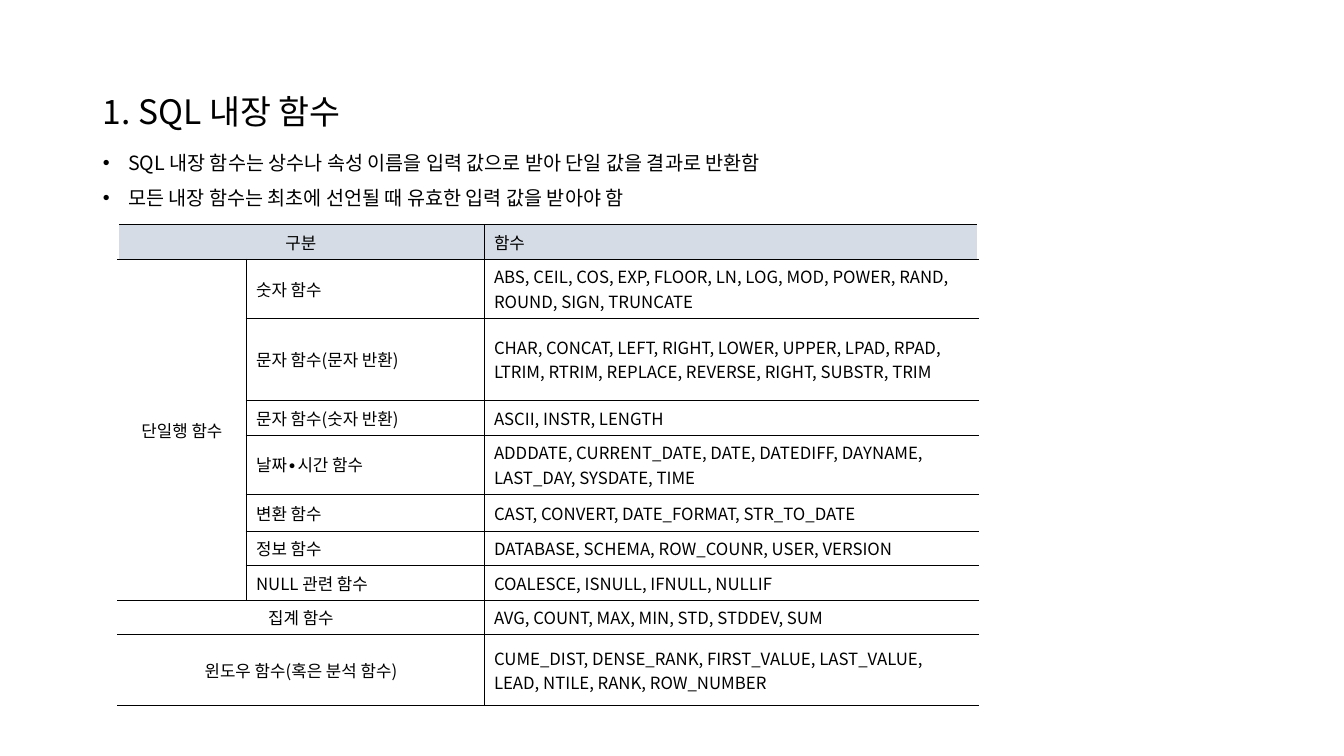
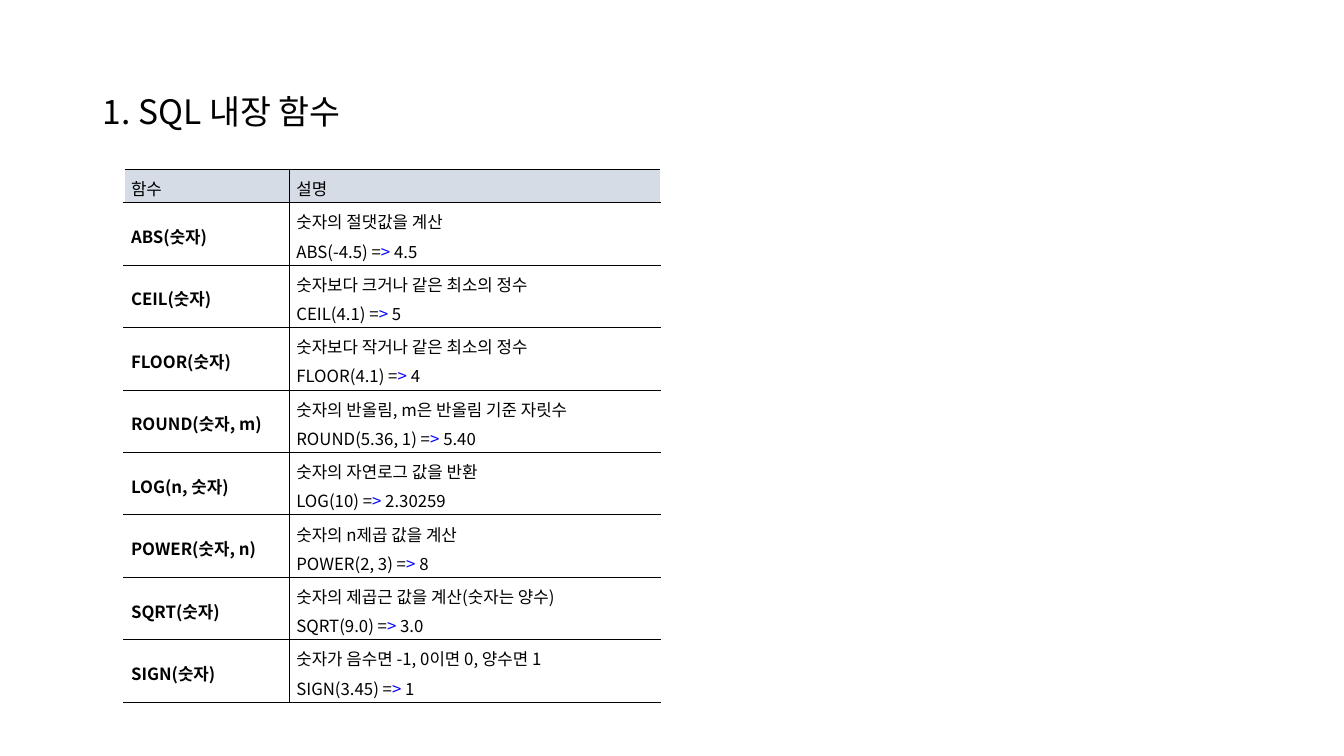
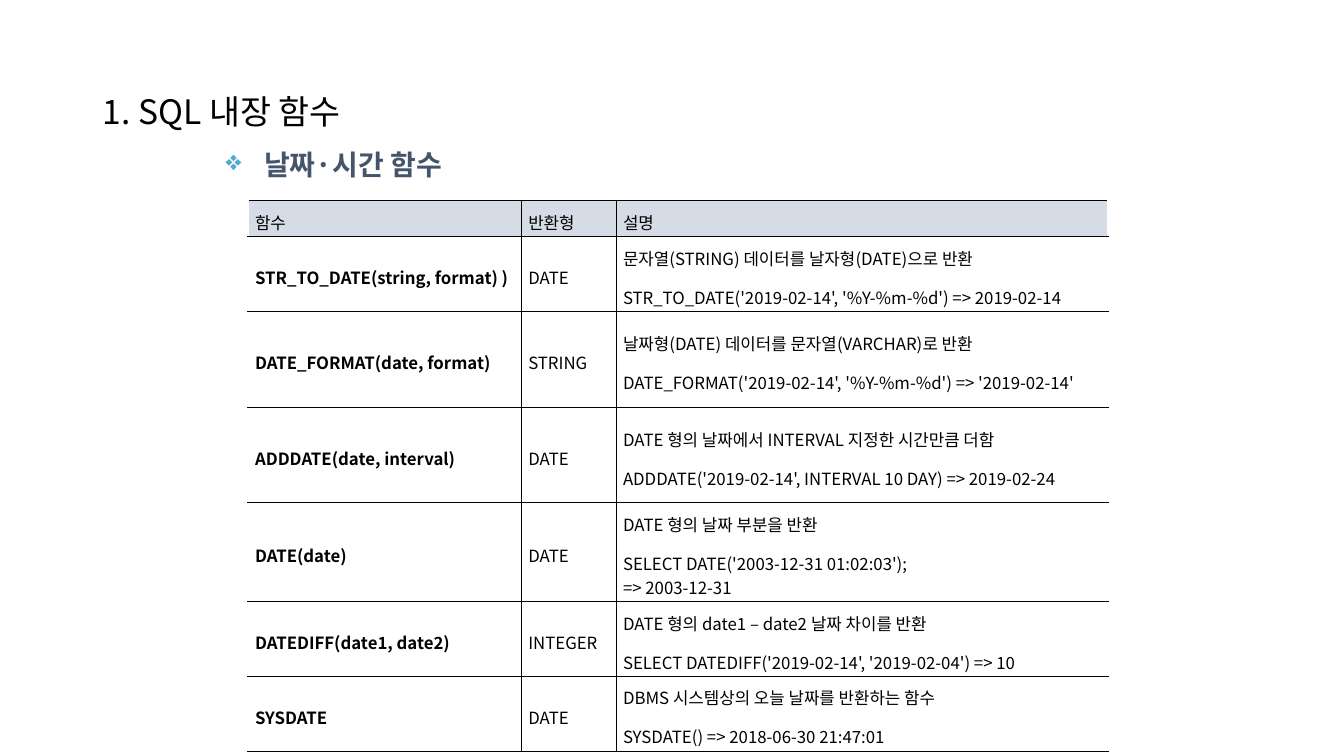
from lxml import etree
from pptx import Presentation
from pptx import util as u
from pptx.dml import color as dml
from pptx.enum import text as t
from pptx.oxml import ns

FONT = "Noto Sans CJK KR"
COLORS = {"text": "000000", "header": "D6DCE5", "arrow": "0000FF",
          "heading": "44546A", "bullet": "50ABCC"}
TITLE = "1. SQL 내장 함수"
LEFT, CENTER, JUSTIFY = t.PP_ALIGN.LEFT, t.PP_ALIGN.CENTER, t.PP_ALIGN.JUSTIFY

FUNCTION_GROUPS = [
    ("구분", "", "함수"),
    ("단일행 함수", "숫자 함수",
     "ABS, CEIL, COS, EXP, FLOOR, LN, LOG, MOD, POWER, RAND, ROUND, SIGN, TRUNCATE"),
    ("", "문자 함수(문자 반환)",
     "CHAR, CONCAT, LEFT, RIGHT, LOWER, UPPER, LPAD, RPAD, LTRIM, RTRIM, REPLACE, "
     "REVERSE, RIGHT, SUBSTR, TRIM"),
    ("", "문자 함수(숫자 반환)", "ASCII, INSTR, LENGTH"),
    ("", "날짜∙시간 함수",
     "ADDDATE, CURRENT_DATE, DATE, DATEDIFF, DAYNAME, LAST_DAY, SYSDATE, TIME"),
    ("", "변환 함수", "CAST, CONVERT, DATE_FORMAT, STR_TO_DATE"),
    ("", "정보 함수", "DATABASE, SCHEMA, ROW_COUNR, USER, VERSION"),
    ("", "NULL 관련 함수", "COALESCE, ISNULL, IFNULL, NULLIF"),
    ("집계 함수", "", "AVG, COUNT, MAX, MIN, STD, STDDEV, SUM"),
    ("윈도우 함수(혹은 분석 함수)", "",
     "CUME_DIST, DENSE_RANK, FIRST_VALUE, LAST_VALUE, LEAD, NTILE, RANK, ROW_NUMBER"),
]
NUMBER_FUNCTIONS = [
    ("ABS(숫자)", "숫자의 절댓값을 계산", "ABS(-4.5)", "4.5"),
    ("CEIL(숫자)", "숫자보다 크거나 같은 최소의 정수", "CEIL(4.1)", "5"),
    ("FLOOR(숫자)", "숫자보다 작거나 같은 최소의 정수", "FLOOR(4.1)", "4"),
    ("ROUND(숫자, m)", "숫자의 반올림, m은 반올림 기준 자릿수", "ROUND(5.36, 1)", "5.40"),
    ("LOG(n, 숫자)", "숫자의 자연로그 값을 반환", "LOG(10)", "2.30259"),
    ("POWER(숫자, n)", "숫자의 n제곱 값을 계산", "POWER(2, 3)", "8"),
    ("SQRT(숫자)", "숫자의 제곱근 값을 계산(숫자는 양수)", "SQRT(9.0)", "3.0"),
    ("SIGN(숫자)", "숫자가 음수면 -1, 0이면 0, 양수면 1", "SIGN(3.45)", "1"),
]
DATE_FUNCTIONS = [
    ("STR_TO_DATE(string, format) )", "DATE",
     ["문자열(STRING) 데이터를 날자형(DATE)으로 반환",
      "STR_TO_DATE('2019-02-14', '%Y-%m-%d') => 2019-02-14"]),
    ("DATE_FORMAT(date, format)", "STRING",
     ["날짜형(DATE) 데이터를 문자열(VARCHAR)로 반환",
      "DATE_FORMAT('2019-02-14', '%Y-%m-%d') => '2019-02-14'"]),
    ("ADDDATE(date, interval)", "DATE",
     ["DATE 형의 날짜에서 INTERVAL 지정한 시간만큼 더함",
      "ADDDATE('2019-02-14', INTERVAL 10 DAY) => 2019-02-24"]),
    ("DATE(date)", "DATE",
     ["DATE 형의 날짜 부분을 반환", "SELECT DATE('2003-12-31 01:02:03');",
      "=> 2003-12-31"]),
    ("DATEDIFF(date1, date2)", "INTEGER",
     ["DATE 형의 date1 – date2 날짜 차이를 반환",
      "SELECT DATEDIFF('2019-02-14', '2019-02-04') => 10"]),
    ("SYSDATE", "DATE",
     ["DBMS 시스템상의 오늘 날짜를 반환하는 함수", "SYSDATE() => 2018-06-30 21:47:01"]),
]


def rgb(name):
    return dml.RGBColor.from_string(COLORS[name])


def add_run(paragraph, content, size=12, bold=False, color="text"):
    run = paragraph.add_run()
    run.text = content
    run.font.size, run.font.bold = u.Pt(size), bold
    run.font.color.rgb = rgb(color)
    run.font.name = FONT
    etree.SubElement(run.font._element, ns.qn("a:ea"), typeface=FONT)


def write(frame, lines, align=LEFT, spacings=(1.0,), before=0, **font):
    for index, content in enumerate(lines):
        paragraph = frame.paragraphs[0] if index == 0 else frame.add_paragraph()
        paragraph.alignment = align
        paragraph.line_spacing = spacings[min(index, len(spacings) - 1)]
        paragraph.space_before = u.Pt(before)
        runs = [(content, {})] if isinstance(content, str) else content
        for words, extra in runs:
            add_run(paragraph, words, **{**font, **extra})


def add_bullets(frame, character, indent, color="text"):
    for paragraph in frame.paragraphs:
        properties = paragraph._p.get_or_add_pPr()
        properties.set("marL", str(u.Inches(indent)))
        properties.set("indent", str(-u.Inches(indent)))
        bullet_color = etree.SubElement(properties, ns.qn("a:buClr"))
        etree.SubElement(bullet_color, ns.qn("a:srgbClr"), val=COLORS[color])
        etree.SubElement(properties, ns.qn("a:buChar"), char=character)


def place(shape, left, top, width, height):
    shape.left, shape.top = u.Inches(left), u.Inches(top)
    shape.width, shape.height = u.Inches(width), u.Inches(height)


def add_slide(presentation, layout):
    slide = presentation.slides.add_slide(presentation.slide_layouts[layout])
    title = slide.shapes.title
    place(title, 0.92, 0.4, 11.5, 1.45)
    title.text_frame.auto_size = t.MSO_AUTO_SIZE.NONE
    title.text_frame.vertical_anchor = t.MSO_ANCHOR.MIDDLE
    write(title.text_frame, [TITLE], spacings=(0.9,), size=24)
    return slide


def add_table(slide, left, top, columns, rows):
    table = slide.shapes.add_table(
        len(rows), len(columns), u.Inches(left), u.Inches(top),
        u.Inches(sum(columns)), u.Inches(sum(rows))).table
    table.first_row = table.horz_banding = False
    for column, width in zip(table.columns, columns):
        column.width = u.Inches(width)
    for row, height in zip(table.rows, rows):
        row.height = u.Inches(height)
    return table


def fill_cell(cell, lines, margins=None, **style):
    cell.vertical_anchor = t.MSO_ANCHOR.MIDDLE
    if margins:
        cell.margin_left = cell.margin_right = u.Inches(margins[0])
        cell.margin_top = cell.margin_bottom = u.Inches(margins[1])
    write(cell.text_frame, lines, **style)


def draw_border(cell, sides, weight):
    properties = cell._tc.get_or_add_tcPr()
    for index, side in enumerate(sides):
        line = etree.Element(ns.qn("a:ln" + side), w=str(u.Pt(weight)))
        solid = etree.SubElement(line, ns.qn("a:solidFill"))
        etree.SubElement(solid, ns.qn("a:srgbClr"), val=COLORS["text"])
        properties.insert(index, line)


def rule_table(table, weight):
    last = len(table.columns)
    for row_index, row in enumerate(table.rows):
        for column_index, cell in enumerate(row.cells):
            if row_index == 0:
                cell.fill.solid()
                cell.fill.fore_color.rgb = rgb("header")
            else:
                cell.fill.background()
            if cell.is_spanned:
                continue
            sides = ["L"] if column_index > 0 else []
            if column_index + cell.span_width < last:
                sides.append("R")
            draw_border(cell, sides + ["T", "B"], weight)


def add_overview(presentation):
    slide = add_slide(presentation, 1)
    body = slide.placeholders[1]
    place(body, 0.92, 1.47, 11.5, 4.76)
    body.text_frame.auto_size = t.MSO_AUTO_SIZE.NONE
    write(body.text_frame,
          ["SQL 내장 함수는 상수나 속성 이름을 입력 값으로 받아 단일 값을 결과로 반환함",
           "모든 내장 함수는 최초에 선언될 때 유효한 입력 값을 받아야 함"],
          spacings=(0.9,), before=10, size=14)
    add_bullets(body.text_frame, "•", 0.25)

    table = add_table(slide, 1.17, 2.23, [1.27, 2.36, 4.9],
                      [0.34, 0.58, 0.82, 0.34, 0.58, 0.37, 0.34, 0.34, 0.34, 0.7])
    for row in (0, 8, 9):
        table.cell(row, 0).merge(table.cell(row, 1))
    table.cell(1, 0).merge(table.cell(7, 0))
    for row, entries in enumerate(FUNCTION_GROUPS):
        for column, content in enumerate(entries):
            if content:
                fill_cell(table.cell(row, column), [content],
                          align=LEFT if column else CENTER)
    rule_table(table, 0.56)


def add_number_functions(presentation):
    slide = add_slide(presentation, 5)
    table = add_table(slide, 1.23, 1.68, [1.64, 3.68],
                      [0.31] + [0.59] * len(NUMBER_FUNCTIONS))
    style = dict(margins=(0.07, 0.02), align=JUSTIFY, spacings=(1.2,))
    for column, heading in enumerate(["함수", "설명"]):
        fill_cell(table.cell(0, column), [heading], **style)
    for row, (name, description, call, result) in enumerate(NUMBER_FUNCTIONS, 1):
        example = [(call + " =", {}), ("> ", {"color": "arrow"}), (result, {})]
        fill_cell(table.cell(row, 0), [name], bold=True, **style)
        fill_cell(table.cell(row, 1), [description, example], **style)
    rule_table(table, 0.28)


def add_date_functions(presentation):
    slide = add_slide(presentation, 5)
    table = add_table(slide, 2.46, 1.99, [2.71, 0.94, 4.88],
                      [0.32, 0.66, 0.95, 0.95, 0.87, 0.66, 0.61])
    style = dict(margins=(0.07, 0.02), spacings=(1.3, 1.6, 1.0))
    for column, heading in enumerate(["함수", "반환형", "설명"]):
        fill_cell(table.cell(0, column), [heading], align=JUSTIFY, **style)
    for row, (name, kind, description) in enumerate(DATE_FUNCTIONS, 1):
        fill_cell(table.cell(row, 0), [name], bold=True, **style)
        fill_cell(table.cell(row, 1), [kind], align=JUSTIFY, **style)
        fill_cell(table.cell(row, 2), description, align=JUSTIFY, **style)
    rule_table(table, 0.28)

    heading = slide.shapes.add_textbox(
        u.Inches(2.14), u.Inches(1.34), u.Inches(5.51), u.Inches(0.57)).text_frame
    heading.word_wrap = True
    heading.vertical_anchor = t.MSO_ANCHOR.MIDDLE
    write(heading, ["날짜·시간 함수"], size=20, bold=True, color="heading")
    add_bullets(heading, "❖", 0.38, "bullet")


def main():
    presentation = Presentation()
    presentation.slide_width = u.Inches(13.33)
    presentation.slide_height = u.Inches(7.5)
    add_overview(presentation)
    add_number_functions(presentation)
    add_date_functions(presentation)
    presentation.save("out.pptx")


main()
